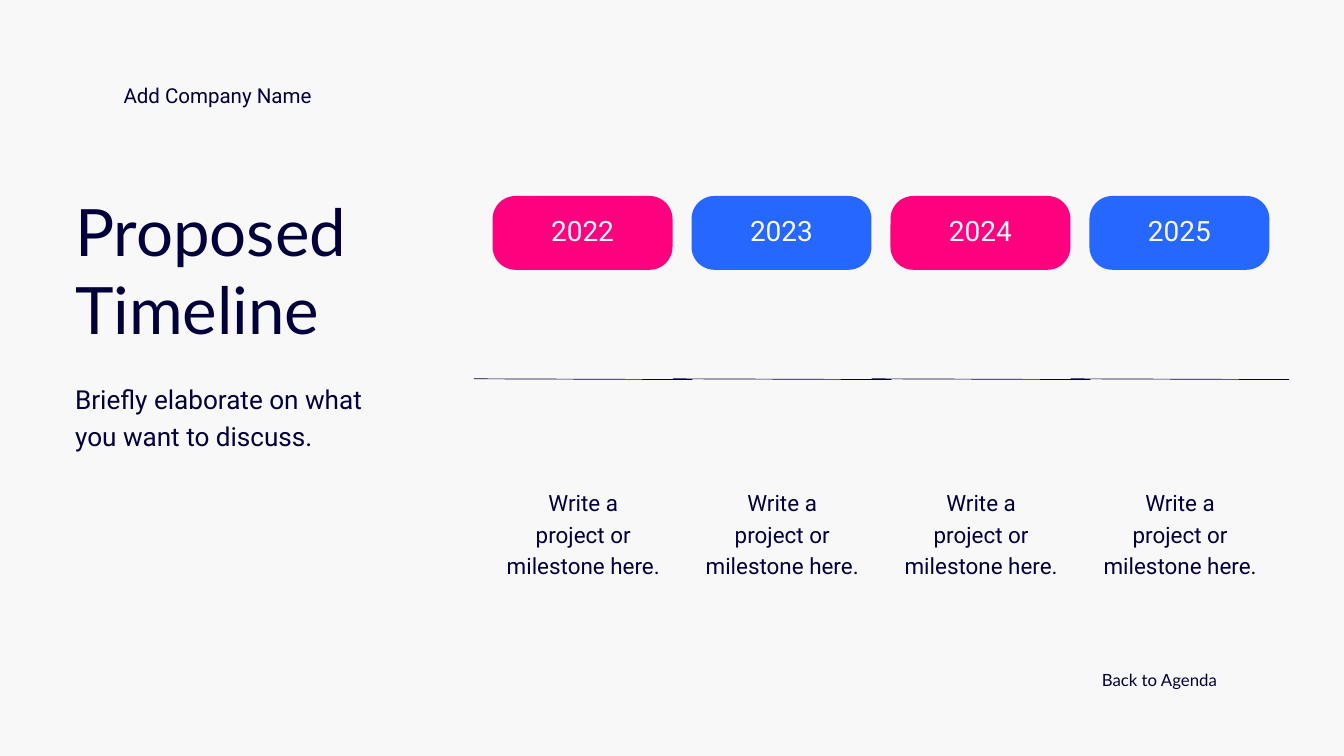
"""Build the Proposed Timeline slide: four year pills, a timeline and milestones."""
import pptx
import pptx.dml.color
import pptx.enum.shapes
import pptx.enum.text
import pptx.oxml
import pptx.util
from pptx.util import Cm

COLORS = {"background": "F8F8F8", "ink": "01003B", "pink": "FF007E", "blue": "2667FF"}
ALIGN = pptx.enum.text.PP_ALIGN
ANCHOR = pptx.enum.text.MSO_ANCHOR


def rgb(name):
    return pptx.dml.color.RGBColor.from_string(COLORS[name])


def write(shape, text, size, spacing, font="Roboto", color="ink", align=ALIGN.LEFT,
          anchor=ANCHOR.TOP, insets=(0, 0, 0, 0)):
    frame = shape.text_frame
    frame.text = text
    frame.word_wrap = True
    frame.auto_size = pptx.enum.text.MSO_AUTO_SIZE.NONE
    frame.vertical_anchor = anchor
    frame.margin_left, frame.margin_top, frame.margin_right, frame.margin_bottom = map(Cm, insets)
    for paragraph in frame.paragraphs:
        paragraph.alignment = align
        paragraph.line_spacing = pptx.util.Pt(spacing)
        paragraph.space_before = pptx.util.Pt(0)
        for run in paragraph.runs:
            run.font.name = font
            run.font.size = pptx.util.Pt(size)
            run.font.color.rgb = rgb(color)


deck = pptx.Presentation()
deck.slide_width, deck.slide_height = Cm(50.8), Cm(28.58)
slide = deck.slides.add_slide(deck.slide_layouts[5])
slide.background.fill.solid()
slide.background.fill.fore_color.rgb = rgb("background")

title = slide.shapes.title
title.left, title.top, title.width, title.height = Cm(2.84), Cm(7.21), Cm(13.08), Cm(5.94)
write(title, "Proposed Timeline", 70, 84, font="Lato")

company = slide.shapes.add_textbox(Cm(4.67), Cm(3), Cm(9.02), Cm(1.02))
write(company, "Add Company Name", 22, 30.8)

summary = slide.shapes.add_textbox(Cm(2.84), Cm(14.3), Cm(11.84), Cm(2.67))
write(summary, "Briefly elaborate on what you want to discuss.", 28, 39.2)

agenda_link = slide.shapes.add_textbox(Cm(40.49), Cm(25.25), Cm(5.51), Cm(0.79))
write(agenda_link, "Back to Agenda", 18, 23.4, font="Lato", align=ALIGN.RIGHT)

pitch = 7.52
for index, year in enumerate(["2022", "2023", "2024", "2025"]):
    offset = index * pitch

    pill = slide.shapes.add_shape(pptx.enum.shapes.MSO_SHAPE.ROUNDED_RECTANGLE,
                                  Cm(18.62 + offset), Cm(7.41), Cm(6.8), Cm(2.79))
    pill.adjustments[0] = 0.31
    pill.shadow.inherit = False
    pill.fill.solid()
    pill.fill.fore_color.rgb = rgb("blue" if index % 2 else "pink")
    pill.line.fill.background()
    write(pill, year, 30, 42, color="background", align=ALIGN.CENTER,
          anchor=ANCHOR.MIDDLE, insets=(0.15, 0.15, 0.15, 0.56))

    segment = slide.shapes.add_connector(pptx.enum.shapes.MSO_CONNECTOR.STRAIGHT,
                                         Cm(17.91 + offset), Cm(14.32),
                                         Cm(26.17 + offset), Cm(14.35))
    segment.line.color.rgb = rgb("ink")
    segment.line.width = pptx.util.Pt(0.75)
    segment.element.spPr.append(pptx.oxml.parse_xml(
        '<a:effectLst xmlns:a="http://schemas.openxmlformats.org/drawingml/2006/main"/>'))

    milestone = slide.shapes.add_textbox(Cm(19.02 + offset), Cm(18.34), Cm(6.05), Cm(3.45))
    write(milestone, "Write a\nproject or milestone here.", 24, 33.6, align=ALIGN.CENTER)

deck.save("out.pptx")
